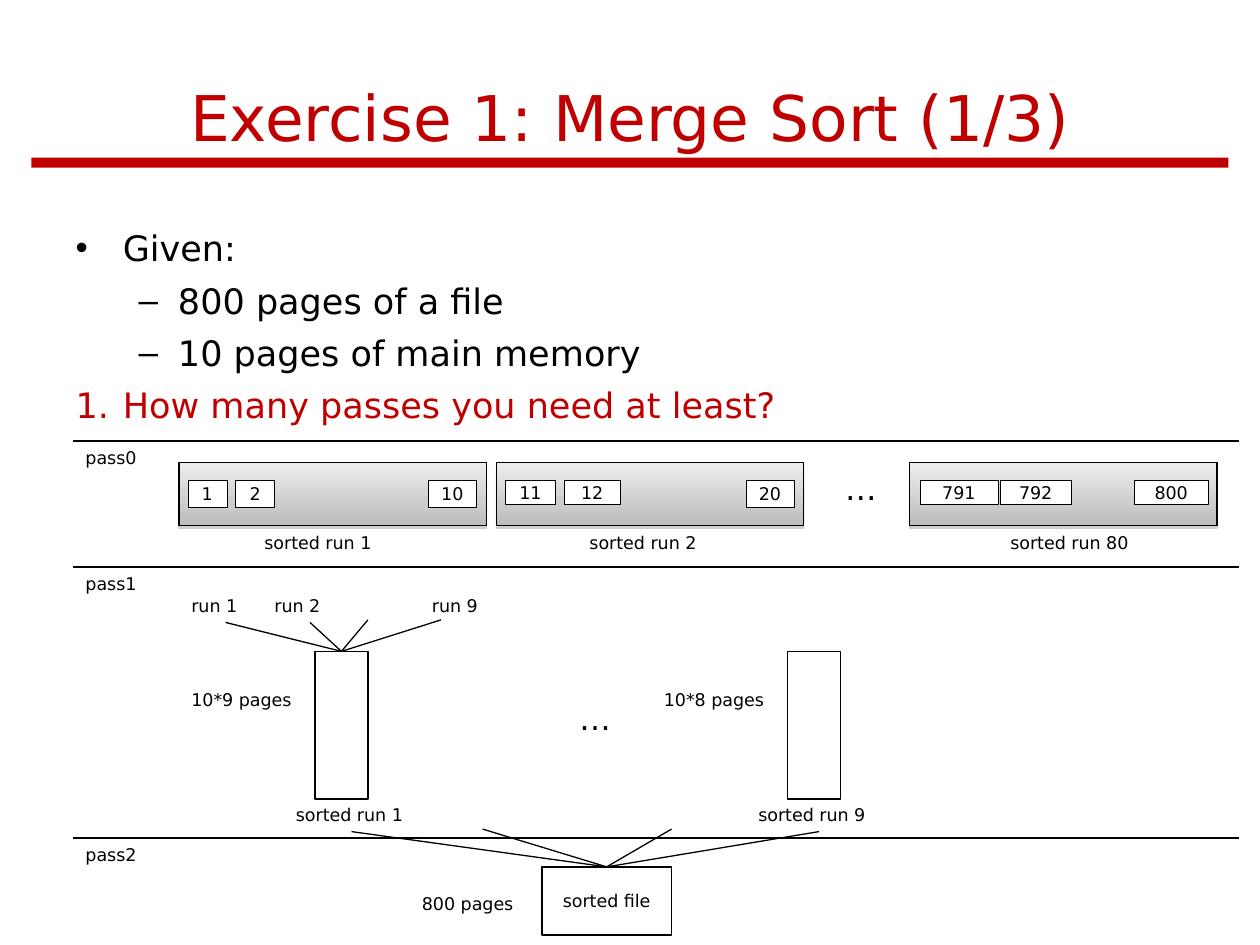
"""Build the slide on the passes of an external merge sort."""
from dataclasses import dataclass

from lxml.etree import SubElement
from pptx import Presentation
from pptx.dml.color import RGBColor
from pptx.enum.shapes import MSO_CONNECTOR as Conn, MSO_SHAPE as Shp
from pptx.enum.text import MSO_ANCHOR as Anchor, MSO_AUTO_SIZE as Fit, PP_ALIGN as Align
from pptx.oxml.ns import qn
from pptx.shapes.autoshape import Shape
from pptx.shapes.connector import Connector
from pptx.slide import Slide
from pptx.text.text import TextFrame
from pptx.util import Inches, Pt

FONT = "DejaVu Sans"
BLACK = RGBColor(0x00, 0x00, 0x00)
WHITE = RGBColor(0xFF, 0xFF, 0xFF)
RED = RGBColor(0xC0, 0x00, 0x00)
LIGHT_GREY = RGBColor(0xED, 0xED, 0xED)
MID_GREY = RGBColor(0xBC, 0xBC, 0xBC)


@dataclass
class Page:
    text: str
    offset: float
    width: float


@dataclass
class Run:
    left: float
    label: str
    label_left: float
    heights: tuple[float, float, float]
    pages: tuple[Page, Page, Page]


@dataclass
class Merge:
    left: float
    pages: str
    label: str
    label_left: float


RUNS = (
    Run(1.42, "sorted run 1", 2, (0.22, 0.22, 0.22),
        (Page("1", 0.07, 0.31), Page("2", 0.45, 0.31), Page("10", 1.98, 0.38))),
    Run(3.94, "sorted run 2", 4.58, (0.19, 0.19, 0.22),
        (Page("11", 0.07, 0.4), Page("12", 0.54, 0.44), Page("20", 1.98, 0.38))),
    Run(7.22, "sorted run 80", 7.92, (0.19, 0.19, 0.19),
        (Page("791", 0.08, 0.62), Page("792", 0.72, 0.56), Page("800", 1.78, 0.59))),
)
MERGES = (
    Merge(2.5, "10*9 pages", "sorted run 1", 2.25),
    Merge(6.25, "10*8 pages", "sorted run 9", 5.92),
)
PASSES = (("pass0", 3.5), ("pass1", 4.5), ("pass2", 6.65))
INPUTS = (("run 1", 1.42), ("run 2", 2.08), ("run 9", 3.33))
RUN_STARTS = ((1.79, 4.94), (2.46, 4.94), (3.5, 4.92), (2.92, 4.92))
FILE_STARTS = ((2.79, 6.6), (6.5, 6.6), (3.83, 6.58), (5.33, 6.58))
ELLIPSES = ((6.61, 3.67), (4.5, 5.5))
BULLETS = (
    ("Given:", 0, BLACK),
    ("800 pages of a file", 1, BLACK),
    ("10 pages of main memory", 1, BLACK),
    ("How many passes you need at least?", 0, RED),
)


def format_text(tf: TextFrame, size: float, color: RGBColor = BLACK) -> None:
    for p in tf.paragraphs:
        for r in p.runs:
            r.font.name = FONT
            r.font.size = Pt(size)
            r.font.color.rgb = color


def add_label(s: Slide, text: str, left: float, top: float, size: float = 10) -> None:
    height = 0.27 if size == 10 else 0.4
    tb = s.shapes.add_textbox(Inches(left), Inches(top), Inches(1.25), Inches(height))
    tf = tb.text_frame
    tf.word_wrap = True
    tf.text = text
    format_text(tf, size)


def add_box(s: Slide, left: float, top: float, width: float, height: float,
            line: float, text: str = "") -> Shape:
    sp = s.shapes.add_shape(Shp.RECTANGLE, Inches(left), Inches(top),
                            Inches(width), Inches(height))
    sp.shadow.inherit = False
    sp.fill.solid()
    sp.fill.fore_color.rgb = WHITE
    sp.line.color.rgb = BLACK
    sp.line.width = Pt(line)
    if text:
        tf = sp.text_frame
        tf.text = text
        tf.vertical_anchor = Anchor.MIDDLE
        tf.paragraphs[0].alignment = Align.CENTER
        format_text(tf, 10)
    return sp


def add_line(s: Slide, x1: float, y1: float, x2: float, y2: float) -> Connector:
    line = s.shapes.add_connector(Conn.STRAIGHT, Inches(x1), Inches(y1),
                                  Inches(x2), Inches(y2))
    line.line.color.rgb = BLACK
    line.line.width = Pt(0.75)
    SubElement(line._element.spPr, qn("a:effectLst"))
    return line


def add_fan(s: Slide, starts: tuple[tuple[float, float], ...], box: Shape) -> None:
    for x, y in starts:
        add_line(s, x, y, x, y).end_connect(box, 0)


def add_run(s: Slide, run: Run) -> None:
    sp = add_box(s, run.left, 3.67, 2.44, 0.5, 0.75)
    sp.fill.gradient()
    sp.fill.gradient_angle = 270
    for stop, color in zip(sp.fill.gradient_stops, (LIGHT_GREY, MID_GREY)):
        stop.color.rgb = color
    effects = sp._element.spPr.find(qn("a:effectLst"))
    shadow = SubElement(effects, qn("a:outerShdw"), blurRad="0", dist=str(Pt(1.6)),
                        dir="5400000", rotWithShape="0")
    color = SubElement(shadow, qn("a:srgbClr"), val="808080")
    SubElement(color, qn("a:alpha"), val="38000")
    for page, height in zip(run.pages, run.heights):
        add_box(s, run.left + page.offset, 3.81, page.width, height, 0.25, page.text)
    add_label(s, run.label, run.label_left, 4.17)


def add_merge(s: Slide, merge: Merge) -> Shape:
    box = add_box(s, merge.left, 5.17, 0.42, 1.17, 1)
    add_label(s, merge.pages, merge.left - 1.08, 5.42)
    add_label(s, merge.label, merge.label_left, 6.33)
    return box


def fill_placeholders(s: Slide) -> None:
    title, body = s.shapes.title, s.placeholders[1]
    title.left, title.top, title.width, title.height = map(Inches, (0.5, 0.3, 9, 1.25))
    title.text_frame.text = "Exercise 1: Merge Sort (1/3)"
    title.text_frame.auto_size = Fit.NONE
    format_text(title.text_frame, 36, RED)

    body.left, body.top, body.width, body.height = map(Inches, (0.5, 1.75, 9, 2.25))
    tf = body.text_frame
    tf.auto_size = Fit.NONE
    for i, (text, level, color) in enumerate(BULLETS):
        p = tf.paragraphs[0] if i == 0 else tf.add_paragraph()
        p.text = text
        p.level = level
        p.space_before = Pt(5.8 if i else 0)
        if color == RED:
            SubElement(p._p.get_or_add_pPr(), qn("a:buFont"), typeface=FONT)
            SubElement(p._p.get_or_add_pPr(), qn("a:buAutoNum"), type="arabicPeriod")
        for r in p.runs:
            r.font.name = FONT
            r.font.size = Pt(20)
            r.font.color.rgb = color


def main() -> None:
    prs = Presentation()
    prs.slide_width, prs.slide_height = Inches(10), Inches(7.5)
    s = prs.slides.add_slide(prs.slide_layouts[1])
    fill_placeholders(s)
    for run in RUNS:
        add_run(s, run)
    for text, top in PASSES:
        add_line(s, 0.58, top, 9.83, top)
        add_label(s, text, 0.58, top)
    for text, left in INPUTS:
        add_label(s, text, left, 4.67)
    for left, top in ELLIPSES:
        add_label(s, "…", left, top, 18)
    boxes = [add_merge(s, merge) for merge in MERGES]
    add_fan(s, RUN_STARTS, boxes[0])
    sorted_file = add_box(s, 4.3, 6.88, 1.03, 0.54, 1, "sorted file")
    add_label(s, "800 pages", 3.25, 7.04)
    add_fan(s, FILE_STARTS, sorted_file)
    bar = add_box(s, 0.25, 1.25, 9.5, 0.08, 0.75)
    bar.fill.fore_color.rgb = RED
    bar.line.fill.background()
    prs.save("out.pptx")


if __name__ == "__main__":
    main()
